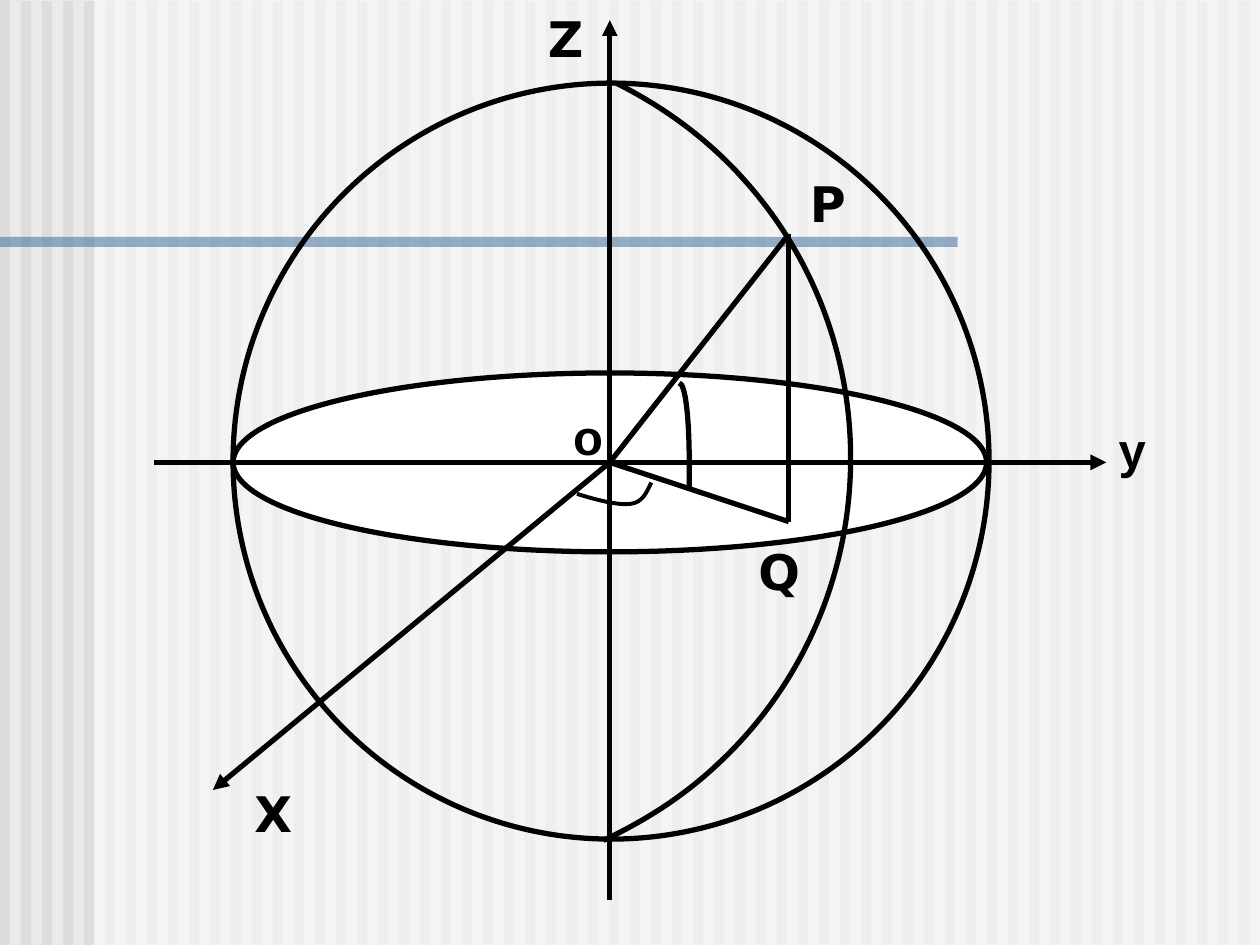
"""Build a slide showing a sphere with axes, a meridian and the angles of point P."""
from math import cos, radians, sin

from lxml.etree import SubElement
from pptx import Presentation
from pptx.dml.color import RGBColor
from pptx.enum.shapes import MSO_CONNECTOR as Connector, MSO_SHAPE as Shape
from pptx.oxml.ns import qn
from pptx.util import Inches, Pt

BACKGROUND = RGBColor(0xEA, 0xEA, 0xEA)
STRIPE = RGBColor(0xDD, 0xDD, 0xDD)
BLUE = RGBColor(0x33, 0x66, 0x99)
WHITE = RGBColor(0xFF, 0xFF, 0xFF)
BLACK = RGBColor(0x00, 0x00, 0x00)

ORIGIN = (4.84, 3.67)
POINT_P = (6.26, 1.86)
POINT_Q = (6.26, 4.14)

AXES = [
    ((1.22, 3.67), (8.78, 3.67)),
    ((4.84, 7.14), (4.84, 0.16)),
    (ORIGIN, (1.69, 6.27)),
]
SEGMENTS = [(ORIGIN, POINT_P), (POINT_P, POINT_Q), (ORIGIN, POINT_Q)]

ELEVATION_ARC = [(5.39, 3.04), (5.44, 3.04), (5.47, 3.32), (5.47, 3.67),
                 (5.47, 3.74), (5.47, 3.8), (5.47, 3.87)]
MERIDIAN = [(4.89, 0.66), (5.27, 0.85), (5.61, 1.1), (5.89, 1.41),
            (7.12, 2.76), (7.02, 4.86), (5.67, 6.09),
            (5.41, 6.33), (5.11, 6.52), (4.79, 6.67)]
AZIMUTH_ARC = [(4.58, 3.92), (4.74, 3.97), (4.9, 4.01), (5, 4),
               (5.1, 3.99), (5.13, 3.91), (5.17, 3.83)]

AXIS_LABELS = [
    ("y", 8.78, 3.28, 0.71, "Arial"),
    ("o", 4.45, 3.18, 0.47, "Arial"),
]
POINT_LABELS = [
    ("P", 6.33, 1.33, 1.33, "DejaVu Sans"),
    ("Q", 5.92, 4.25, 0.83, "DejaVu Sans"),
    ("X", 1.92, 6.17, 1.17, "DejaVu Sans"),
    ("Z", 4.25, 0.02, 0.75, "DejaVu Sans"),
]


def style_line(line, width=3):
    line.color.rgb = BLACK
    line.width = Pt(width)


def add_band(shapes, left, top, width, height, color, opacity=100):
    band = shapes.add_shape(Shape.RECTANGLE, Inches(left), Inches(top),
                            Inches(width), Inches(height))
    band.shadow.inherit = False
    band.fill.solid()
    band.fill.fore_color.rgb = color
    band.line.fill.background()
    if opacity < 100:
        srgb = band._element.spPr.find(f"{qn('a:solidFill')}/{qn('a:srgbClr')}")
        SubElement(srgb, qn("a:alpha"), val=str(opacity * 1000))


def add_backdrop(slide, master):
    master.background.fill.solid()
    master.background.fill.fore_color.rgb = BACKGROUND
    group = slide.shapes.add_group_shape()
    for index in range(60):
        add_band(group.shapes, index / 6, 0.01 if index else 0, 0.08, 7.5, STRIPE)
    add_band(group.shapes, 0.75, 0, 9.26, 7.5, WHITE, opacity=50)
    add_band(group.shapes, 0, 1.88, 7.6, 0.08, BLUE, opacity=50)
    master.shapes._spTree.insert(2, group._element)


def add_ellipse(slide, left, top, width, height, color=None):
    ellipse = slide.shapes.add_shape(Shape.OVAL, Inches(left), Inches(top),
                                     Inches(width), Inches(height))
    ellipse.shadow.inherit = False
    if color is None:
        ellipse.fill.background()
    else:
        ellipse.fill.solid()
        ellipse.fill.fore_color.rgb = color
    style_line(ellipse.line)


def add_line(slide, start, end, arrow=False):
    connector = slide.shapes.add_connector(
        Connector.STRAIGHT, *(Inches(value) for value in start + end))
    style_line(connector.line)
    if arrow:
        SubElement(connector.line._get_or_add_ln(), qn("a:tailEnd"), type="triangle")
    SubElement(connector._element.spPr, qn("a:effectLst"))


def turn_back(point, center, angle):
    x, y = point[0] - center[0], point[1] - center[1]
    cosine, sine = cos(radians(angle)), sin(radians(angle))
    return center[0] + x * cosine + y * sine, center[1] - x * sine + y * cosine


def add_curve(slide, controls, box, width=3, rotation=0):
    left, top, box_width, box_height = box
    center = (left + box_width / 2, top + box_height / 2)
    points = [tuple(Inches(value) for value in turn_back(point, center, rotation))
              for point in controls]
    builder = slide.shapes.build_freeform(*points[0])
    builder.add_line_segments(points[1:], close=False)
    curve = builder.convert_to_shape()
    outline = next(curve._element.iter(qn("a:path")))
    shift_x, shift_y = curve.left - Inches(left), curve.top - Inches(top)
    for point in outline.iter(qn("a:pt")):
        point.set("x", str(int(point.get("x")) + shift_x))
        point.set("y", str(int(point.get("y")) + shift_y))
    segments = outline.findall(qn("a:lnTo"))
    for first in range(0, len(segments), 3):
        bezier = SubElement(outline, qn("a:cubicBezTo"))
        for segment in segments[first:first + 3]:
            bezier.append(segment[0])
            outline.remove(segment)
    curve.left, curve.top = Inches(left), Inches(top)
    curve.width, curve.height = Inches(box_width), Inches(box_height)
    outline.set("w", str(curve.width))
    outline.set("h", str(curve.height))
    curve.rotation = rotation
    curve.shadow.inherit = False
    curve.fill.background()
    style_line(curve.line, width)


def add_label(slide, text, left, top, width, font_name):
    box = slide.shapes.add_textbox(Inches(left), Inches(top), Inches(width), Inches(0.57))
    box.text_frame.word_wrap = True
    run = box.text_frame.paragraphs[0].add_run()
    run.text = text
    run.font.name = font_name
    run.font.size = Pt(28)
    run.font.bold = True
    run.font.color.rgb = BLACK


def main():
    presentation = Presentation()
    presentation.slide_width = Inches(10)
    presentation.slide_height = Inches(7.5)
    slide = presentation.slides.add_slide(presentation.slide_layouts[6])
    add_backdrop(slide, presentation.slide_master)
    add_ellipse(slide, 1.85, 2.96, 5.98, 1.42, WHITE)
    add_ellipse(slide, 1.85, 0.66, 6, 6)
    for start, end in AXES:
        add_line(slide, start, end, arrow=True)
    for start, end in SEGMENTS:
        add_line(slide, start, end)
    add_curve(slide, ELEVATION_ARC, (5.39, 3.04, 0.08, 0.82))
    for label in AXIS_LABELS:
        add_label(slide, *label)
    add_curve(slide, MERIDIAN, (2.72, 1.47, 4.54, 4.35), rotation=47.6)
    for label in POINT_LABELS:
        add_label(slide, *label)
    add_curve(slide, AZIMUTH_ARC, (4.58, 3.83, 0.58, 0.18), width=2.25)
    presentation.save("out.pptx")


if __name__ == "__main__":
    main()
